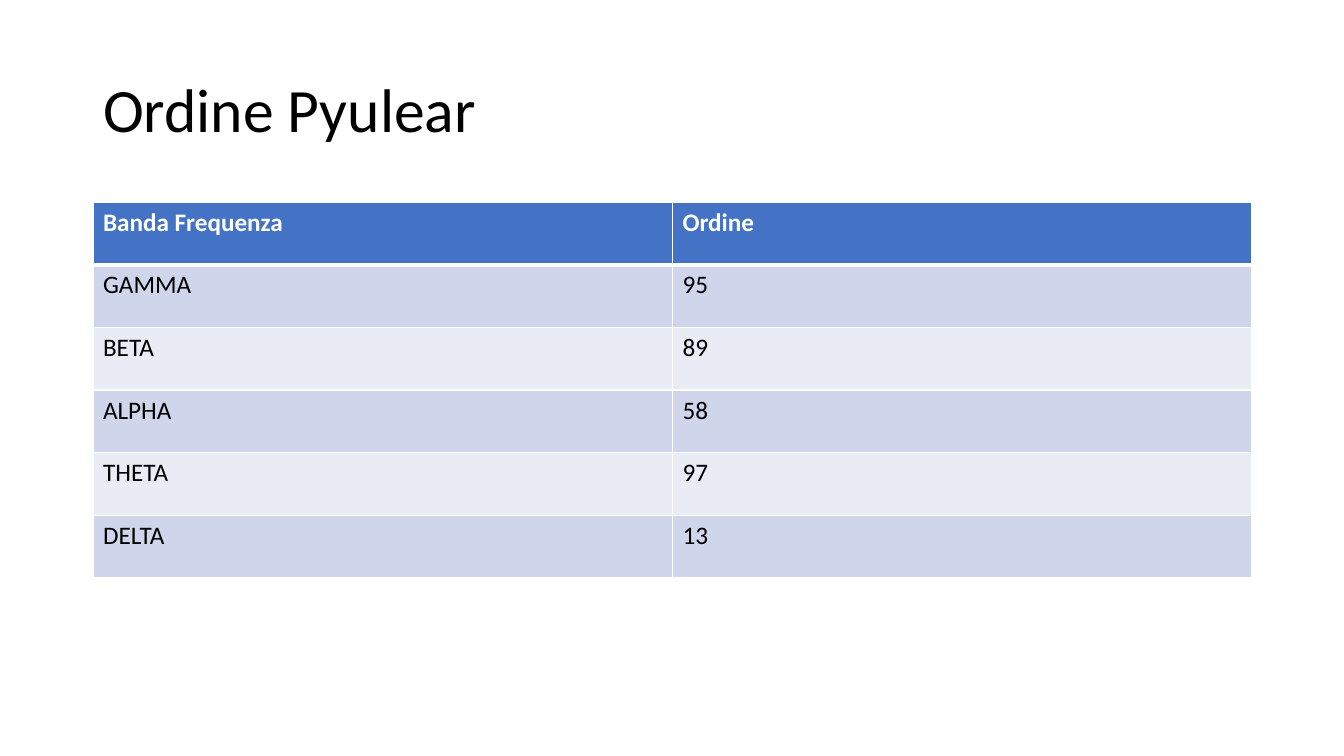
from typing import NamedTuple

from lxml import etree
from pptx import Presentation
from pptx import util as u
from pptx.dml.color import RGBColor
from pptx.enum import text
from pptx.oxml.ns import qn

EMU_PER_PIXEL = 914400 / 100.8
FONT = "Calibri"
BLACK = RGBColor(0x00, 0x00, 0x00)
WHITE = RGBColor(0xFF, 0xFF, 0xFF)
HEADER_BLUE = RGBColor(0x44, 0x72, 0xC4)
BAND_DARK = RGBColor(0xCF, 0xD5, 0xEA)
BAND_LIGHT = RGBColor(0xE9, 0xEB, 0xF5)


class Box(NamedTuple):
    left: int
    top: int
    width: int
    height: int


class Row(NamedTuple):
    band: str
    order: str


TITLE_BOX = Box(93, 40, 1159, 146)
TABLE_BOX = Box(93, 202, 1159, 376)
ROWS = [
    Row("Banda Frequenza", "Ordine"),
    Row("GAMMA", "95"),
    Row("BETA", "89"),
    Row("ALPHA", "58"),
    Row("THETA", "97"),
    Row("DELTA", "13"),
]


def px(pixels: int) -> int:
    return round(pixels * EMU_PER_PIXEL)


def style_paragraph(para, size: int, color: RGBColor, bold: bool = False) -> None:
    para.alignment = text.PP_ALIGN.LEFT
    para.font.name = FONT
    para.font.size = u.Pt(size)
    para.font.bold = bold
    para.font.color.rgb = color


def add_border(cell, side: str, points: int) -> None:
    properties = cell._tc.get_or_add_tcPr()
    line = etree.SubElement(properties, qn(f"a:{side}"), w=str(u.Pt(points)))
    fill = etree.SubElement(line, qn("a:solidFill"))
    etree.SubElement(fill, qn("a:srgbClr"), val=str(WHITE))


def fill_cell(cell, value: str, row_index: int) -> None:
    header = row_index == 0
    cell.text = value
    style_paragraph(cell.text_frame.paragraphs[0], 18, WHITE if header else BLACK, header)
    top = 3 if row_index == 1 else 1
    bottom = 3 if header else 1
    for side, points in (("lnL", 1), ("lnR", 1), ("lnT", top), ("lnB", bottom)):
        add_border(cell, side, points)
    cell.fill.solid()
    band = BAND_DARK if row_index % 2 else BAND_LIGHT
    cell.fill.fore_color.rgb = HEADER_BLUE if header else band


def add_title(page, title: str, box: Box) -> None:
    shape = page.shapes.title
    shape.left, shape.top, shape.width, shape.height = map(px, box)
    frame = shape.text_frame
    frame.text = title
    frame.auto_size = text.MSO_AUTO_SIZE.NONE
    frame.vertical_anchor = text.MSO_ANCHOR.MIDDLE
    para = frame.paragraphs[0]
    para.line_spacing = 0.9
    style_paragraph(para, 44, BLACK)


def add_order_table(page, rows: list[Row], box: Box) -> None:
    table = page.shapes.add_table(len(rows), len(Row._fields), *map(px, box)).table
    for row_index, row in enumerate(rows):
        for column_index, value in enumerate(row):
            fill_cell(table.cell(row_index, column_index), value, row_index)


deck = Presentation()
deck.slide_width, deck.slide_height = px(1344), px(756)
page = deck.slides.add_slide(deck.slide_layouts.get_by_name("Title Only"))
add_title(page, "Ordine Pyulear", TITLE_BOX)
add_order_table(page, ROWS, TABLE_BOX)
deck.save("out.pptx")
